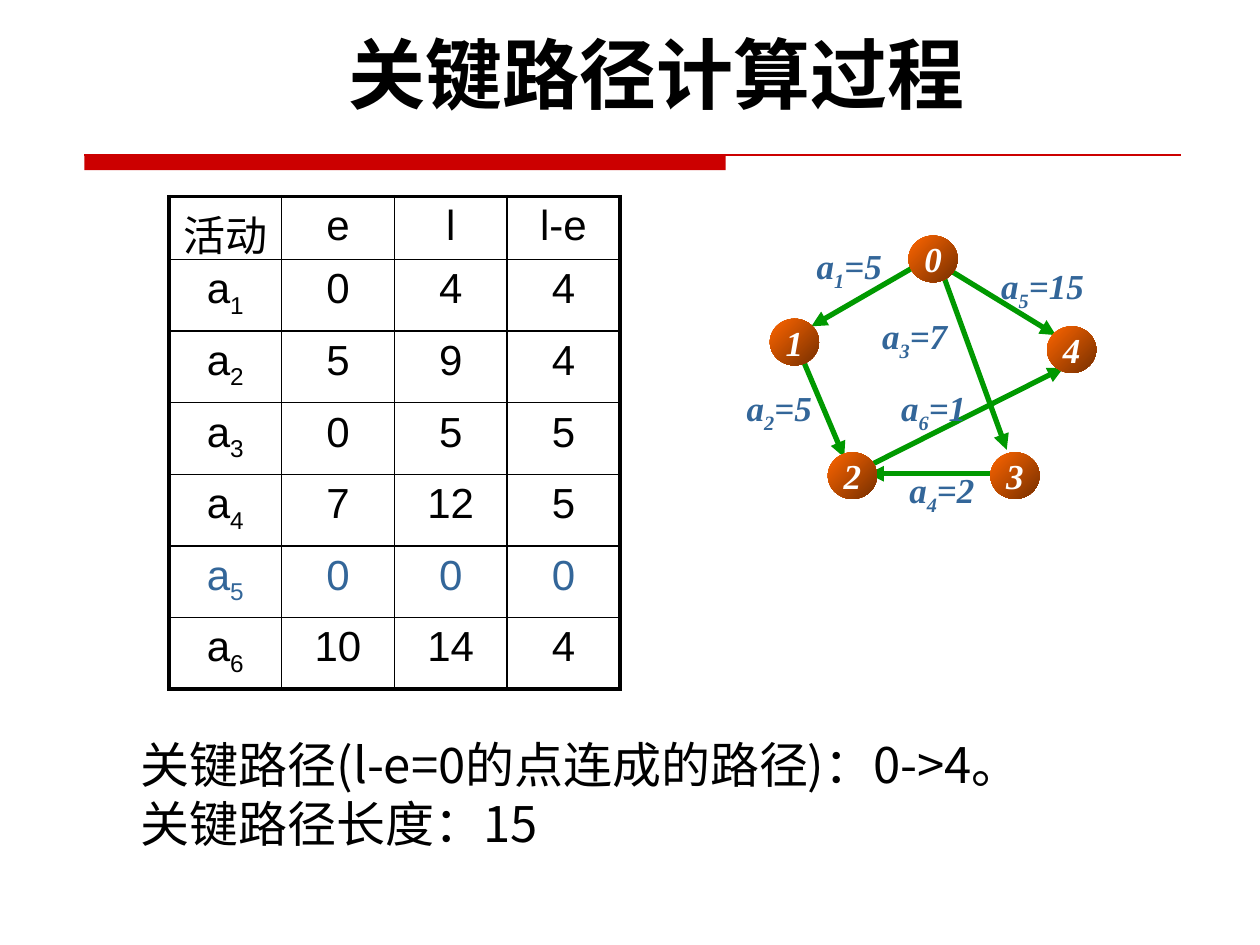
from pptx import Presentation
from pptx.dml.color import RGBColor
from pptx.enum.shapes import MSO_CONNECTOR, MSO_SHAPE
from pptx.enum.text import MSO_ANCHOR, MSO_AUTO_SIZE, PP_ALIGN
from pptx.util import Inches, Pt
from lxml.etree import SubElement
from pptx.oxml.ns import qn

COLORS = {"black": "000000", "white": "FFFFFF", "red": "CC0000", "green": "009900",
          "blue": "336699", "orange": "FF6600", "brown": "762F00"}
CHINESE_FONT = "Noto Sans CJK SC"
NODES = {"0": (7.21, 1.87), "1": (6.11, 2.53), "2": (6.57, 3.59), "3": (7.86, 3.59), "4": (8.31, 2.59)}
EDGES = [((7.53, 2.14), (8.38, 2.66)), ((6.37, 2.85), (6.7, 3.63)), ((7.34, 2.07), (6.44, 2.59)),
         ((7.47, 2.14), (7.99, 3.57)), ((7.86, 3.76), (6.89, 3.76)), ((6.89, 3.7), (8.44, 2.92))]
EDGE_LABELS = [("a_1_=5", 6.28, 1.89, 0.92), ("a_2_=5", 5.78, 3.02, 0.81), ("a_5_=15", 7.86, 2.05, 0.83),
               ("a_6_=1", 6.95, 3.02, 0.92), ("a_3_=7", 6.78, 2.45, 0.96), ("a_4_=2", 7.03, 3.67, 0.89)]
ACTIVITIES = [("活动", "e", "l", "l-e"), ("a_1", "0", "4", "4"), ("a_2", "5", "9", "4"),
              ("a_3", "0", "5", "5"), ("a_4", "7", "12", "5"), ("a_5", "0", "0", "0"),
              ("a_6", "10", "14", "4")]
CRITICAL_ROW = 5


def color(name):
    """Return the named colour."""
    return RGBColor.from_string(COLORS[name])


def write(paragraph, text, size, font, tone="black", bold=False, italic=False, align=PP_ALIGN.CENTER):
    """Write text whose parts between underscores are subscripts."""
    paragraph.alignment = align
    for index, part in enumerate(text.split("_")):
        run = paragraph.add_run()
        run.text = part
        run.font.size = Pt(size)
        run.font.name = font
        run.font.bold = bold
        run.font.italic = italic
        run.font.color.rgb = color(tone)
        properties = run._r.get_or_add_rPr()
        SubElement(properties, qn("a:ea"), typeface=CHINESE_FONT)
        if index % 2:
            properties.set("baseline", "-25000")


class SlideBuilder:
    """Hold the graph style and the current slide."""

    graph_text = {"size": 20, "font": "Times New Roman", "bold": True, "italic": True}
    table_text = {"size": 24, "font": "Arial"}

    def __init__(self, slide):
        """Keep the slide to draw on."""
        self.slide = slide

    def shape(self, kind, left, top, width, height):
        """Add a shape without line or shadow."""
        shape = self.slide.shapes.add_shape(kind, Inches(left), Inches(top), Inches(width), Inches(height))
        shape.shadow.inherit = False
        shape.line.fill.background()
        return shape

    def bar(self, left, top, width, height, tone):
        """Add a plain filled bar."""
        shape = self.shape(MSO_SHAPE.RECTANGLE, left, top, width, height)
        shape.fill.solid()
        shape.fill.fore_color.rgb = color(tone)

    def line(self, start, end, tone, width, arrow=False):
        """Add a straight line, with an arrowhead at its end if asked."""
        points = [Inches(value) for value in (*start, *end)]
        connector = self.slide.shapes.add_connector(MSO_CONNECTOR.STRAIGHT, *points)
        connector.line.color.rgb = color(tone)
        connector.line.width = Pt(width)
        if arrow:
            SubElement(connector.line._get_or_add_ln(), qn("a:tailEnd"), type="triangle")
        SubElement(connector._element.spPr, qn("a:effectLst"))

    def node(self, name, left, top):
        """Add a numbered graph node."""
        shape = self.shape(MSO_SHAPE.OVAL, left, top, 0.39, 0.37)
        shape.fill.gradient()
        shape.fill.gradient_angle = 315
        for stop, position, tone in zip(shape.fill.gradient_stops, (0, 1), ("orange", "brown")):
            stop.position = position
            stop.color.rgb = color(tone)
        frame = shape.text_frame
        frame.margin_left = frame.margin_right = 0
        frame.word_wrap = False
        frame.vertical_anchor = MSO_ANCHOR.MIDDLE
        write(frame.paragraphs[0], name, tone="white", **self.graph_text)

    def text(self, lines, left, top, width, height, margin=0.1, **style):
        """Add a wrapping text box with one paragraph a line."""
        box = self.slide.shapes.add_textbox(Inches(left), Inches(top), Inches(width), Inches(height))
        frame = box.text_frame
        frame.word_wrap = True
        frame.auto_size = MSO_AUTO_SIZE.SHAPE_TO_FIT_TEXT
        frame.margin_left = frame.margin_right = Inches(margin)
        for index, line in enumerate(lines):
            paragraph = frame.add_paragraph() if index else frame.paragraphs[0]
            write(paragraph, line, **style)

    def border(self, cell, thick_sides):
        """Draw the four borders of a cell, some of them thick."""
        properties = cell._tc.get_or_add_tcPr()
        for index, (side, thick) in enumerate(zip("LRTB", thick_sides)):
            line = properties.makeelement(qn("a:ln" + side), {"w": str(Pt(2.25 if thick else 1))})
            fill = SubElement(line, qn("a:solidFill"))
            SubElement(fill, qn("a:srgbClr"), val=COLORS["black"])
            properties.insert(index, line)

    def table(self, rows, left, top, width, height, header_height, marked_row):
        """Add a framed table with one marked row."""
        last_row, last_column = len(rows) - 1, len(rows[0]) - 1
        frame = self.slide.shapes.add_table(len(rows), len(rows[0]), Inches(left), Inches(top),
                                            Inches(width), Inches(height))
        table = frame.table
        table.first_row = table.horz_banding = False
        for index, row in enumerate(table.rows):
            row.height = Inches((height - header_height) / last_row if index else header_height)
        for row, values in enumerate(rows):
            for column, value in enumerate(values):
                cell = table.cell(row, column)
                cell.margin_left = cell.margin_right = 0
                cell.fill.background()
                self.border(cell, (column == 0, column == last_column, row == 0, row == last_row))
                tone = "blue" if row == marked_row else "black"
                write(cell.text_frame.paragraphs[0], value, tone=tone, **self.table_text)


def main():
    """Build and save the slide."""
    presentation = Presentation()
    presentation.slide_width, presentation.slide_height = Inches(10), Inches(7.5)
    builder = SlideBuilder(presentation.slides.add_slide(presentation.slide_layouts[6]))
    builder.bar(0.67, 1.23, 5.09, 0.12, "red")
    builder.line((0.67, 1.23), (9.37, 1.23), "red", 0.75)
    for start, end in EDGES:
        builder.line(start, end, "green", 3, arrow=True)
    for name, position in NODES.items():
        builder.node(name, *position)
    for label, left, top, width in EDGE_LABELS:
        builder.text([label], left, top, width, 0.43, margin=0 if "15" in label else 0.1,
                     tone="blue", **builder.graph_text)
    builder.table(ACTIVITIES, 1.34, 1.56, 3.58, 3.91, 0.5, CRITICAL_ROW)
    builder.text(["关键路径(l-e=0的点连成的路径)：0->4。", "关键路径长度：15"], 1.02, 5.78, 8.51, 1.04,
                 size=28, font=CHINESE_FONT, align=PP_ALIGN.LEFT)
    builder.text(["关键路径计算过程"], 0.59, 0.16, 9.25, 0.84, size=44, font="Cabin", bold=True)
    presentation.save("out.pptx")


if __name__ == "__main__":
    main()
